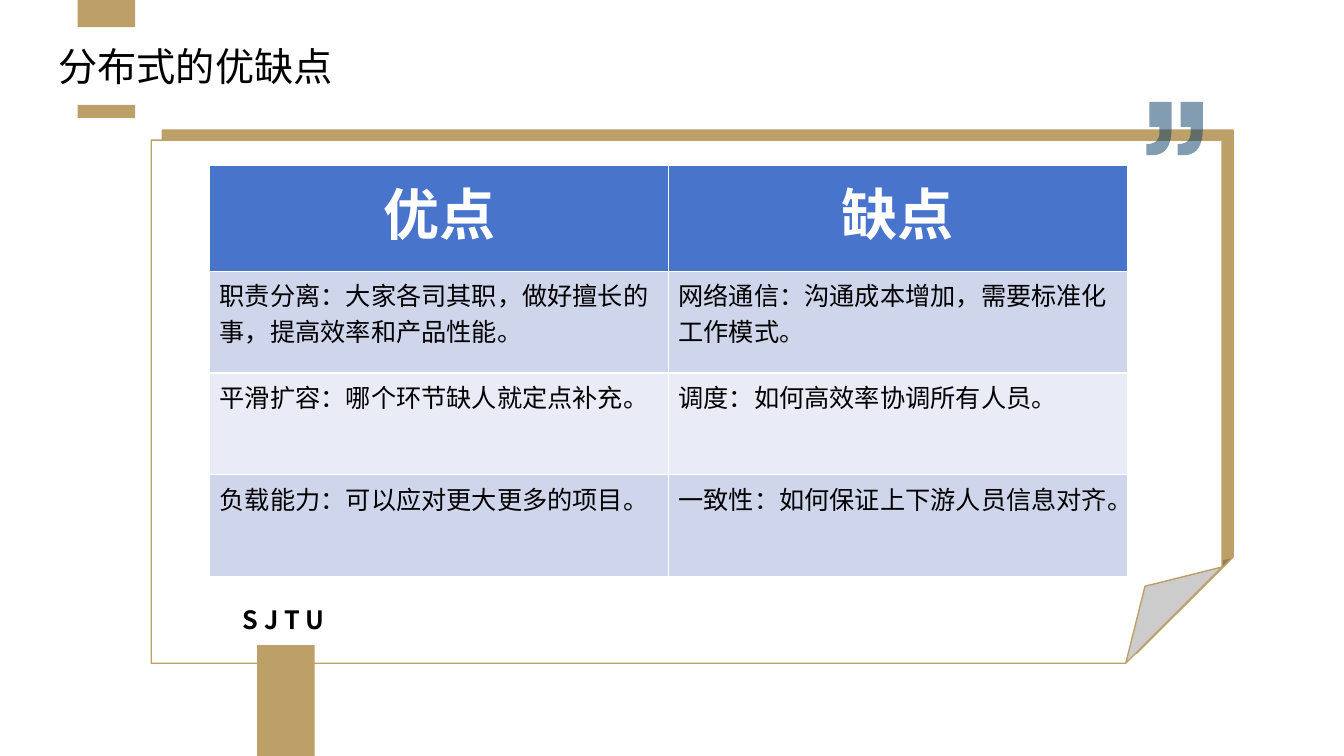
from dataclasses import dataclass

from lxml import etree
from pptx import Presentation
from pptx import util as u
from pptx.dml import color
from pptx.enum import shapes, text
from pptx.oxml import ns

GOLD, WHITE, BLACK, NAVY = "BD9F68", "FFFFFF", "000000", "063A65"
HEADER_BLUE, BAND_DARK, BAND_LIGHT = "4874CB", "CFD6EC", "E9EBF6"
CHINESE_FONT, TABLE_FONT = "Noto Sans CJK SC", "Calibri"
CURVE_STEPS = 12
SCALE = 1000


@dataclass
class Box:
    left: float
    top: float
    width: float
    height: float

    def lengths(self) -> tuple:
        return tuple(u.Inches(v) for v in (self.left, self.top, self.width, self.height))


@dataclass
class Sheet:
    box: Box
    fill: str


@dataclass
class Style:
    size: float
    colour: str
    font: str
    bold: bool = False
    align: text.PP_ALIGN = text.PP_ALIGN.LEFT


SHEETS = [Sheet(Box(1.61, 1.29, 10.62, 5.19), GOLD), Sheet(Box(1.5, 1.39, 10.62, 5.19), WHITE)]
BARS = [Box(0.77, 0, 0.57, 0.27), Box(0.77, 1.04, 0.57, 0.13), Box(2.55, 6.4, 0.57, 1.1)]
ROWS = [
    ("优点", "缺点"),
    ("职责分离：大家各司其职，做好擅长的事，提高效率和产品性能。", "网络通信：沟通成本增加，需要标准化工作模式。"),
    ("平滑扩容：哪个环节缺人就定点补充。", "调度：如何高效率协调所有人员。"),
    ("负载能力：可以应对更大更多的项目。", "一致性：如何保证上下游人员信息对齐。"),
]
HEADER_STYLE = Style(40, WHITE, TABLE_FONT, True, text.PP_ALIGN.CENTER)
BODY_STYLE = Style(18, BLACK, TABLE_FONT)


def rgb(value: str) -> color.RGBColor:
    return color.RGBColor.from_string(value)


def paint(shape, fill: str, line: str = "") -> None:
    shape.shadow.inherit = False
    shape.fill.solid()
    shape.fill.fore_color.rgb = rgb(fill)
    if line:
        shape.line.color.rgb = rgb(line)
        shape.line.width = u.Pt(1)
    else:
        shape.line.fill.background()


def write(frame, words: str, style: Style) -> None:
    frame.text = words
    para = frame.paragraphs[0]
    para.alignment = style.align
    para.font.size = u.Pt(style.size)
    para.font.bold = style.bold
    para.font.name = style.font
    para.font.color.rgb = rgb(style.colour)


def add_sheet(page, sheet: Sheet) -> None:
    shape = page.shapes.add_shape(shapes.MSO_SHAPE.FOLDED_CORNER, *sheet.box.lengths())
    guides = shape.element.spPr.find(".//" + ns.qn("a:avLst"))
    etree.SubElement(guides, ns.qn("a:gd"), name="adj", fmla="val 18400")
    paint(shape, sheet.fill, GOLD)


def add_bar(page, box: Box) -> None:
    paint(page.shapes.add_shape(shapes.MSO_SHAPE.RECTANGLE, *box.lengths()), GOLD)


def curve(*controls: tuple) -> list:
    points = []
    for step in range(CURVE_STEPS + 1):
        t = step / CURVE_STEPS
        weights = ((1 - t) ** 3, 3 * t * (1 - t) ** 2, 3 * t**2 * (1 - t), t**3)
        points.append(tuple(sum(w * c[axis] for w, c in zip(weights, controls)) for axis in (0, 1)))
    return points


def add_quote_marks(page, left: float, top: float, pitch: float) -> None:
    outline = [
        (0.03, 0), (0.25, 0),
        *curve((0.25, 0.27), (0.25, 0.45), (0.18, 0.53), (0.06, 0.53)),
        (0, 0.53),
        *curve((0, 0.42), (0.09, 0.42), (0.13, 0.38), (0.13, 0.3)),
        (0.13, 0.25), (0.03, 0.25),
    ]
    marks = [[((left + shift + x) * SCALE, (top + y) * SCALE) for x, y in outline] for shift in (0, pitch)]
    builder = page.shapes.build_freeform(*marks[0][0], scale=u.Inches(1) / SCALE)
    builder.add_line_segments(marks[0][1:], close=True)
    builder.move_to(*marks[1][0])
    builder.add_line_segments(marks[1][1:], close=True)
    shape = builder.convert_to_shape()
    paint(shape, NAVY)
    tint = shape.element.spPr.find(".//" + ns.qn("a:srgbClr"))
    etree.SubElement(tint, ns.qn("a:alpha"), val="50000")


def add_signature(page) -> None:
    frame = page.shapes.add_textbox(*Box(2.41, 6.03, 0.85, 0.27).lengths()).text_frame
    frame.margin_left = frame.margin_right = frame.margin_top = frame.margin_bottom = 0
    frame.word_wrap = False
    frame.vertical_anchor = text.MSO_ANCHOR.BOTTOM
    write(frame, "S J T U", Style(18, BLACK, CHINESE_FONT, True))
    frame.paragraphs[0].line_spacing = 0.9


def set_title(page) -> None:
    title = page.shapes.title
    title.left, title.top, title.width, title.height = Box(0.48, 0.37, 12.08, 0.57).lengths()
    title.text_frame.auto_size = text.MSO_AUTO_SIZE.NONE
    title.text_frame.vertical_anchor = text.MSO_ANCHOR.MIDDLE
    write(title.text_frame, "分布式的优缺点", Style(28, BLACK, CHINESE_FONT))


def add_comparison(page) -> None:
    box = Box(2.08, 1.64, 9.1, 4.08)
    table = page.shapes.add_table(len(ROWS), len(ROWS[0]), *box.lengths()).table
    for index, words in enumerate(ROWS):
        table.rows[index].height = u.Inches(1.01 if index else 1.05)
        fill = (BAND_DARK if index % 2 else BAND_LIGHT) if index else HEADER_BLUE
        for column, phrase in enumerate(words):
            cell = table.cell(index, column)
            cell.fill.solid()
            cell.fill.fore_color.rgb = rgb(fill)
            write(cell.text_frame, phrase, BODY_STYLE if index else HEADER_STYLE)


def main() -> None:
    deck = Presentation()
    deck.slide_width, deck.slide_height = u.Inches(13.33), u.Inches(7.5)
    page = deck.slides.add_slide(deck.slide_layouts[5])
    for sheet in SHEETS:
        add_sheet(page, sheet)
    for bar in BARS:
        add_bar(page, bar)
    add_signature(page)
    add_quote_marks(page, 11.37, 1.01, 0.31)
    set_title(page)
    add_comparison(page)
    deck.save("out.pptx")


if __name__ == "__main__":
    main()
